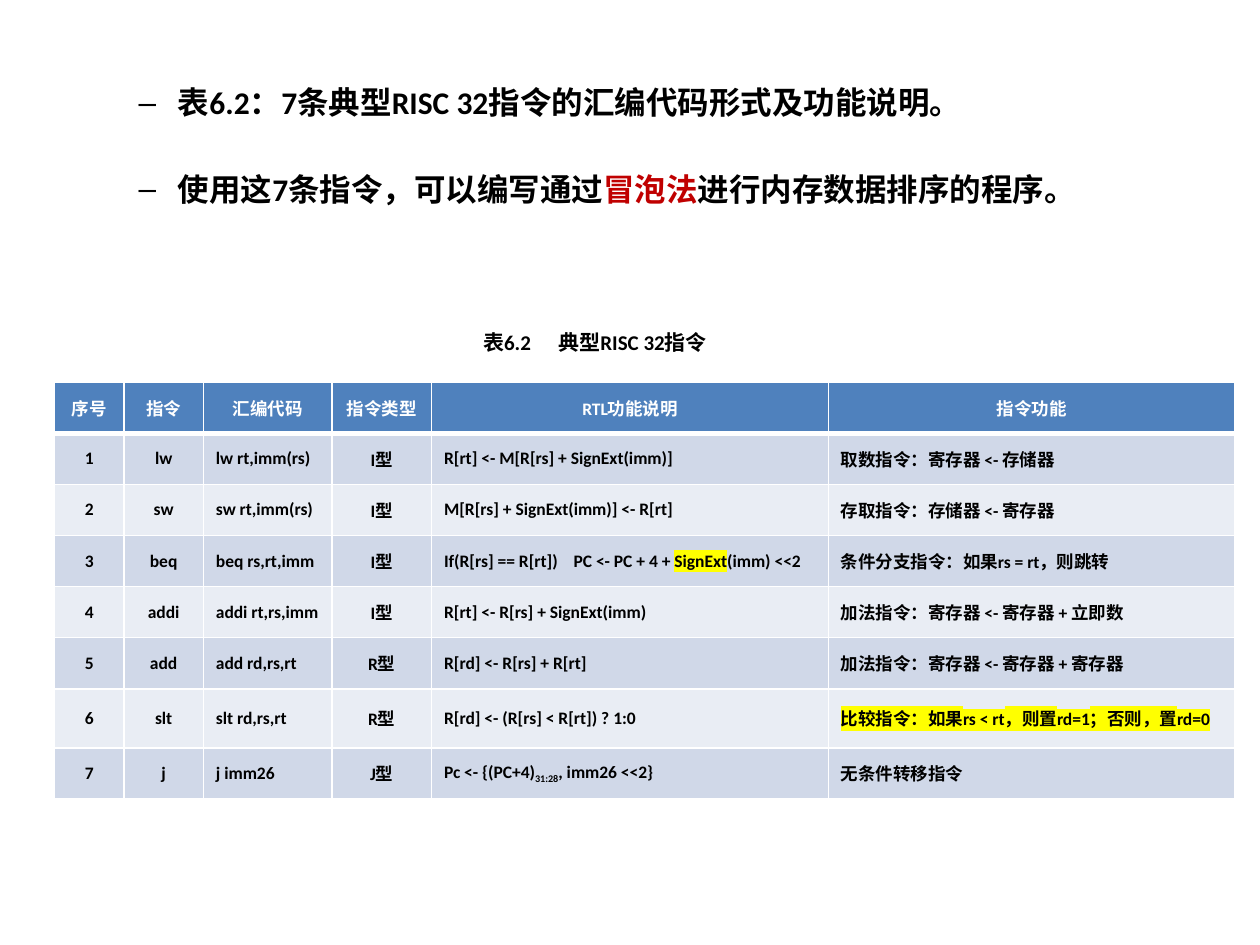
from lxml.etree import SubElement
from pptx import Presentation
from pptx.dml.color import RGBColor
from pptx.enum.text import MSO_ANCHOR, MSO_AUTO_SIZE, PP_ALIGN
from pptx.oxml import parse_xml
from pptx.oxml.ns import nsdecls, qn
from pptx.util import Pt

COLORS = {
    "text": "000000",
    "accent": "C00000",
    "highlight": "FFFF00",
    "header": "4F81BD",
    "odd": "D0D8E8",
    "even": "E9EDF4",
    "white": "FFFFFF",
}
BULLETS = [
    ["表6.2：7条典型RISC 32指令的汇编代码形式及功能说明。"],
    ["使用这7条指令，可以编写通过", ("冒泡法", "accent"), "进行内存数据排序的程序。"],
]
CAPTION = ["表6.2\t典型RISC 32指令"]
HEADERS = ["序号", "指令", "汇编代码", "指令类型", "RTL功能说明", "指令功能"]
INSTRUCTIONS = [
    ["lw", "lw rt,imm(rs)", "I型", "R[rt] <- M[R[rs] + SignExt(imm)]", "取数指令：寄存器 <- 存储器"],
    ["sw", "sw rt,imm(rs)", "I型", "M[R[rs] + SignExt(imm)] <- R[rt]", "存取指令：存储器 <- 寄存器"],
    ["beq", "beq rs,rt,imm", "I型",
     ["If(R[rs] == R[rt])\tPC <- PC + 4 + ", ("SignExt", "highlight"), "(imm) <<2"],
     "条件分支指令：如果rs = rt，则跳转"],
    ["addi", "addi rt,rs,imm", "I型", "R[rt] <- R[rs] + SignExt(imm)",
     "加法指令：寄存器 <- 寄存器 + 立即数"],
    ["add", "add rd,rs,rt", "R型", "R[rd] <- R[rs] + R[rt]",
     "加法指令：寄存器 <- 寄存器 + 寄存器"],
    ["slt", "slt rd,rs,rt", "R型", "R[rd] <- (R[rs] < R[rt]) ? 1:0",
     [("比较指令：如果rs < rt，则置rd=1；否则，置rd=0", "highlight")]],
    ["j", "j imm26", "J型", ["Pc <- {(PC+4)", ("31:28", "subscript"), ", imm26 <<2}"],
     "无条件转移指令"],
]
COLUMN_WIDTHS = [39.6, 45.4, 73.5, 56.9, 226.8, 232.4]
CENTERED_COLUMNS = {0, 1, 3}
CAPTION_TAB = 43
BRANCH_TAB = 74


def add_tab_stop(paragraph, position):
    properties = paragraph._p.get_or_add_pPr()
    tabs = SubElement(properties, qn("a:tabLst"))
    SubElement(tabs, qn("a:tab"), pos=str(Pt(position)), algn="l")


def add_runs(paragraph, parts, size, color="text"):
    for part in parts:
        text, style = part if isinstance(part, tuple) else (part, None)
        run = paragraph.add_run()
        run.text = text
        for name, value in {"name": "Calibri", "size": Pt(size), "bold": True}.items():
            setattr(run.font, name, value)
        run_color = "accent" if style == "accent" else color
        run.font.color.rgb = RGBColor.from_string(COLORS[run_color])
        properties = run._r.get_or_add_rPr()
        if style == "subscript":
            properties.set("baseline", "-25000")
        if style == "highlight":
            properties.find(qn("a:latin")).addprevious(parse_xml(
                f'<a:highlight {nsdecls("a")}><a:srgbClr val="{COLORS["highlight"]}"/></a:highlight>'))


def place(shape, box):
    for name, value in zip(("left", "top", "width", "height"), box):
        setattr(shape, name, Pt(value))


def fill_body(slide, box):
    body = slide.placeholders[1]
    place(body, box)
    frame = body.text_frame
    frame.auto_size = MSO_AUTO_SIZE.NONE
    for index, parts in enumerate(BULLETS):
        paragraph = frame.add_paragraph() if index else frame.paragraphs[0]
        paragraph.level = 1
        paragraph.space_before = Pt(28 if index else 0)
        add_runs(paragraph, parts, 18)


def add_caption(slide, box):
    frame = slide.shapes.add_textbox(*map(Pt, box)).text_frame
    frame.word_wrap = True
    paragraph = frame.paragraphs[0]
    add_tab_stop(paragraph, CAPTION_TAB)
    add_runs(paragraph, CAPTION, 12)


def add_borders(cell, is_header):
    properties = cell._tc.get_or_add_tcPr()
    for side in "LRTB":
        width = 3 if is_header and side == "B" else 1
        properties.append(parse_xml(
            f'<a:ln{side} {nsdecls("a")} w="{Pt(width)}"><a:solidFill>'
            f'<a:srgbClr val="{COLORS["white"]}"/></a:solidFill></a:ln{side}>'))


def fill_cell(cell, content, row, column):
    is_header = row == 0
    parts = content if isinstance(content, list) else [content]
    add_borders(cell, is_header)
    cell.fill.solid()
    fill = "header" if is_header else "odd" if row % 2 else "even"
    cell.fill.fore_color.rgb = RGBColor.from_string(COLORS[fill])
    cell.vertical_anchor = MSO_ANCHOR.MIDDLE
    paragraph = cell.text_frame.paragraphs[0]
    if is_header or column in CENTERED_COLUMNS:
        paragraph.alignment = PP_ALIGN.CENTER
    if "\t" in parts[0][0] or "\t" in parts[0]:
        add_tab_stop(paragraph, BRANCH_TAB)
    add_runs(paragraph, parts, 10, "white" if is_header else "text")


def add_instruction_table(slide, box):
    rows = [HEADERS] + [[str(number), *row] for number, row in enumerate(INSTRUCTIONS, 1)]
    table = slide.shapes.add_table(len(rows), len(HEADERS), *map(Pt, box)).table
    for column, width in zip(table.columns, COLUMN_WIDTHS):
        column.width = Pt(width)
    for row_index, row in enumerate(rows):
        table.rows[row_index].height = Pt(box[3] / len(rows))
        for column_index, content in enumerate(row):
            fill_cell(table.cell(row_index, column_index), content, row_index, column_index)


def main():
    presentation = Presentation()
    presentation.slide_width, presentation.slide_height = Pt(720), Pt(540)
    slide = presentation.slides.add_slide(presentation.slide_layouts[1])
    title = slide.shapes.title
    title._element.getparent().remove(title._element)
    fill_body(slide, (36, 44, 648, 453))
    add_instruction_table(slide, (31.2, 218.4, sum(COLUMN_WIDTHS), 233.6))
    add_caption(slide, (269, 185, 143.5, 21.6))
    presentation.save("out.pptx")


if __name__ == "__main__":
    main()
